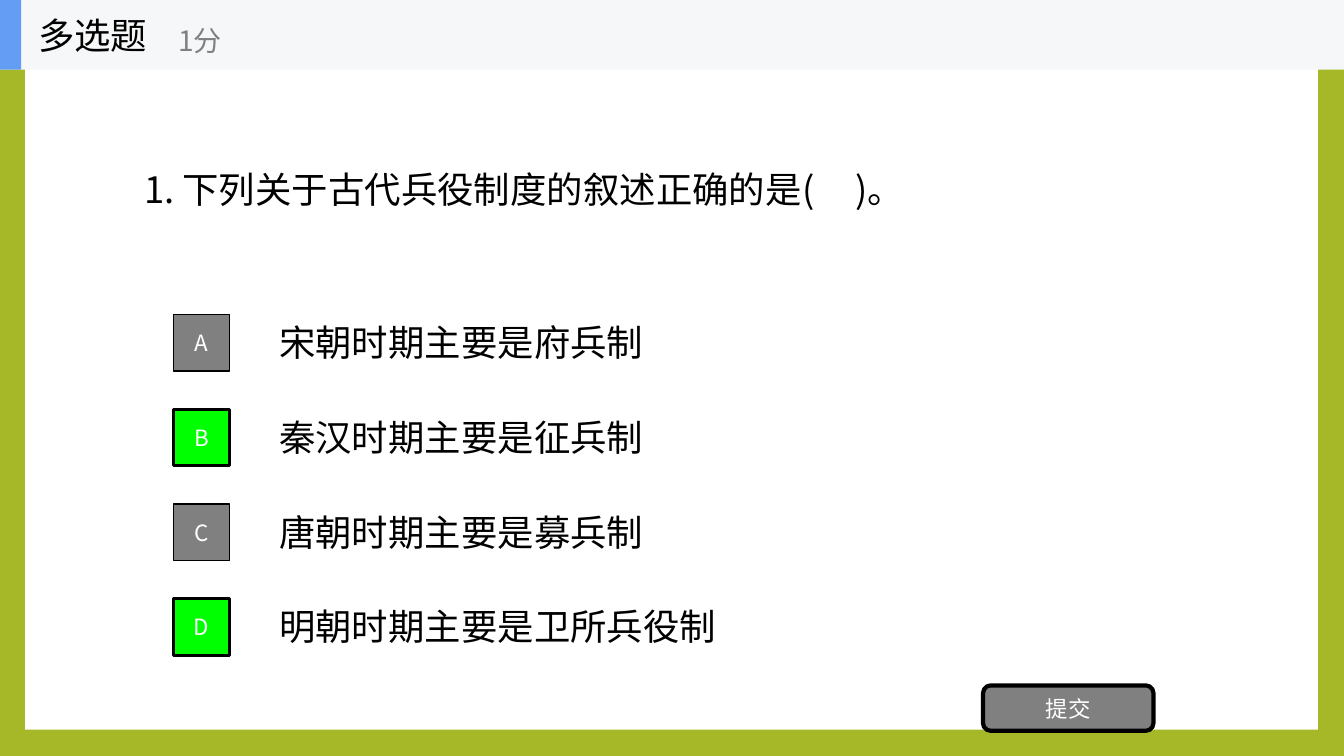
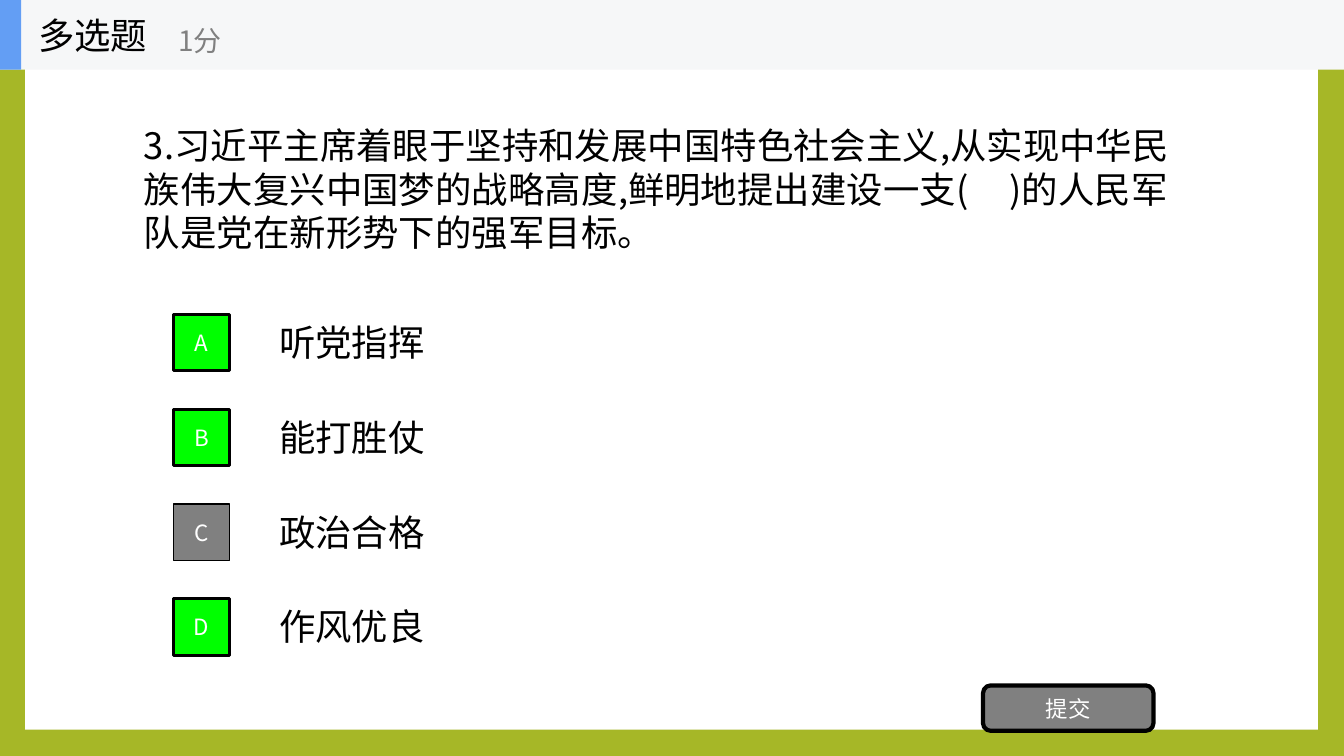
"""Build two multiple-choice quiz slides with a shared frame and header."""
from lxml import etree
from pptx import Presentation
from pptx.dml.color import RGBColor
from pptx.enum import shapes, text
from pptx.oxml import ns
from pptx.util import Inches, Pt

FONT = "Noto Sans CJK SC"
COLORS = {
    "frame": "A6B727",
    "panel": "FFFFFF",
    "band": "F6F7F8",
    "accent": "639EF4",
    "ink": "000000",
    "muted": "808080",
    "correct": "00FF00",
    "label": "FFFFFF",
}
RECTANGLE = shapes.MSO_SHAPE.RECTANGLE
ROUNDED = shapes.MSO_SHAPE.ROUNDED_RECTANGLE

HEADING, POINTS, SUBMIT = "多选题", "1分", "提交"
QUESTIONS = [
    {
        "question": "1. 下列关于古代兵役制度的叙述正确的是(    　)。".replace("    　", "     "),
        "width": 7.99,
        "options": ["宋朝时期主要是府兵制", "秦汉时期主要是征兵制",
                    "唐朝时期主要是募兵制", "明朝时期主要是卫所兵役制"],
        "correct": "BD",
    },
    {
        "question": "3.习近平主席着眼于坚持和发展中国特色社会主义,从实现中华民族伟大复兴中国梦的战略高度,"
                    "鲜明地提出建设一支(     )的人民军队是党在新形势下的强军目标。",
        "width": 10.56,
        "options": ["听党指挥", "能打胜仗", "政治合格", "作风优良"],
        "correct": "ABD",
    },
]

OPTION_TOP, OPTION_STEP = 3.12, 0.94
MARK_SIZE = 0.56


def color(name):
    return RGBColor.from_string(COLORS[name])


def write(shape, content, size, ink, align=text.PP_ALIGN.LEFT):
    frame = shape.text_frame
    frame.word_wrap = True
    frame.vertical_anchor = text.MSO_ANCHOR.MIDDLE
    paragraph = frame.paragraphs[0]
    paragraph.alignment = align
    run = paragraph.add_run()
    run.text = content
    run.font.size = Pt(size)
    run.font.name = FONT
    run.font.color.rgb = color(ink)
    east_asian = etree.SubElement(run.font._element, ns.qn("a:ea"))
    east_asian.set("typeface", FONT)


def add_text(slide, box, content, size=26, ink="ink"):
    write(slide.shapes.add_textbox(*map(Inches, box)), content, size, ink)


def add_block(slide, box, fill, kind=RECTANGLE, border=0, label=None):
    shape = slide.shapes.add_shape(kind, *map(Inches, box))
    shape.shadow.inherit = False
    shape.fill.solid()
    shape.fill.fore_color.rgb = color(fill)
    if border:
        shape.line.color.rgb = color("ink")
        shape.line.width = Pt(border)
    else:
        shape.line.fill.background()
    if label:
        write(shape, label, 16, "label", text.PP_ALIGN.CENTER)


def add_header(slide):
    add_block(slide, (0, 0, 13.33, 0.69), "band")
    add_block(slide, (0, 0, 0.21, 0.69), "accent")
    add_text(slide, (0.28, 0, 2.08, 0.69), HEADING)
    add_text(slide, (1.67, 0.12, 2.5, 0.56), POINTS, 20, "muted")


def add_options(slide, options, correct):
    for index, (letter, option) in enumerate(zip("ABCD", options)):
        top = OPTION_TOP + index * OPTION_STEP
        is_correct = letter in correct
        add_text(slide, (2.67, top + 0.01, 5, 0.53), option)
        add_block(slide, (1.72, top, MARK_SIZE, MARK_SIZE),
                  "correct" if is_correct else "muted",
                  border=2 if is_correct else 1, label=letter)


def add_question_slide(presentation, item):
    slide = presentation.slides.add_slide(presentation.slide_layouts[6])
    slide.background.fill.solid()
    slide.background.fill.fore_color.rgb = color("frame")
    add_block(slide, (0.25, 0.27, 12.82, 6.97), "panel")
    add_text(slide, (1.33, 1.17, item["width"], 1.4), item["question"])
    add_options(slide, item["options"], item["correct"])
    add_block(slide, (9.75, 6.8, 1.69, 0.45), "muted", ROUNDED, 3, SUBMIT)
    add_header(slide)


def main():
    presentation = Presentation()
    presentation.slide_width = Inches(13.33)
    presentation.slide_height = Inches(7.5)
    for item in QUESTIONS:
        add_question_slide(presentation, item)
    presentation.save("out.pptx")


if __name__ == "__main__":
    main()
